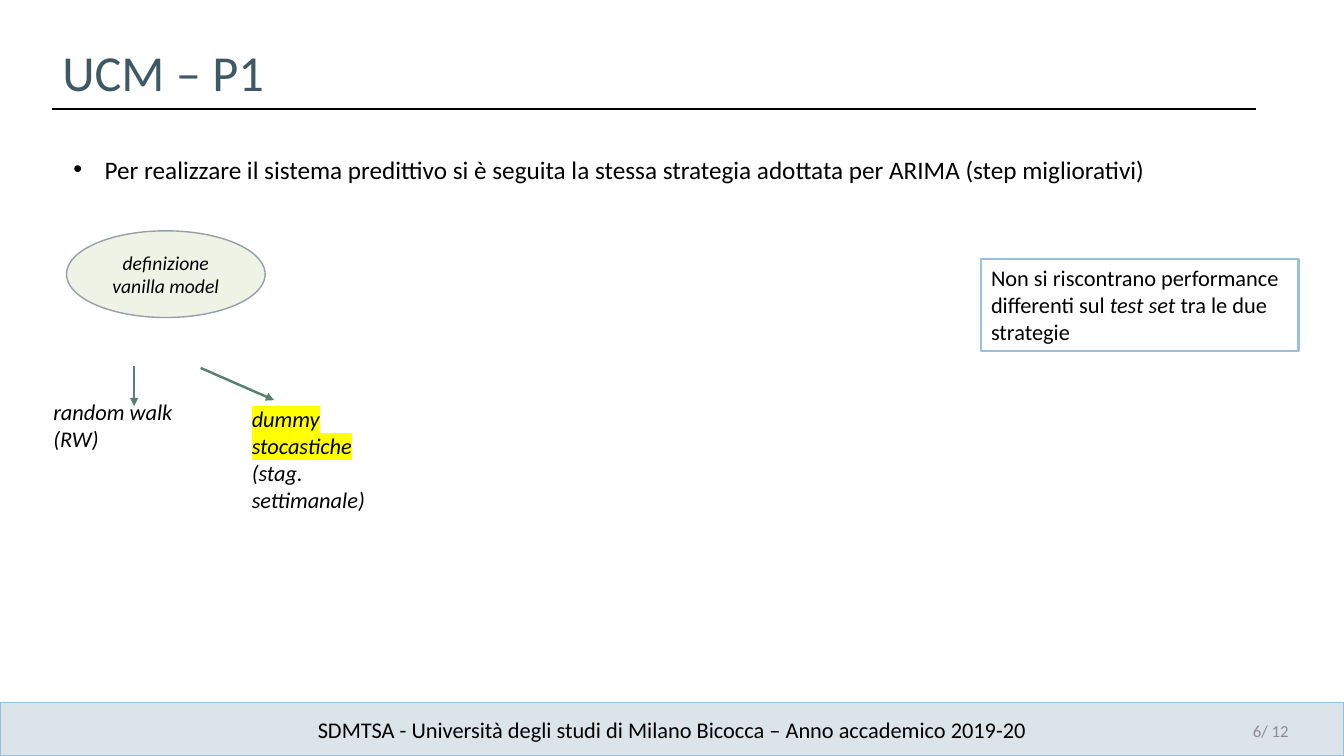
import pptx
import pptx.util
import pptx.dml.color
import pptx.enum.shapes
import pptx.enum.text
import pptx.oxml.ns
import lxml.etree

FORM = pptx.enum.shapes.MSO_SHAPE
ALIGN = pptx.enum.text.PP_ALIGN
ANCHOR = pptx.enum.text.MSO_ANCHOR
qn = pptx.oxml.ns.qn


class Board:
    font = "Calibri"
    hues = {
        "ink": "000000", "title": "3E5964", "gray": "8C8C8C",
        "band": "DBE4E8", "sky": "99C0DC", "white": "FFFFFF",
        "leaf": "EEF3E5", "rim": "969FA7", "arrow": "5A8071",
        "mark": "FFFF00",
    }

    def __init__(self, deck):
        self.wide, self.high = deck.slide_width, deck.slide_height
        self.slide = deck.slides.add_slide(deck.slide_layouts[6])

    def hue(self, name):
        return pptx.dml.color.RGBColor.from_string(self.hues[name])

    def place(self, *shares):
        sides = (self.wide, self.high) * 2
        return [round(side * share / 100) for side, share in zip(sides, shares)]

    def label(self, shape, paras, size, hue="ink", align=ALIGN.LEFT,
              anchor=ANCHOR.TOP, bullet=False):
        frame = shape.text_frame
        frame.word_wrap = True
        frame.vertical_anchor = anchor
        for index, runs in enumerate(paras):
            para = frame.add_paragraph() if index else frame.paragraphs[0]
            para.alignment = align
            if bullet:
                self.dot(para)
            for text, style in runs:
                run = para.add_run()
                run.text = text
                run.font.size = pptx.util.Pt(size)
                run.font.italic = "i" in style
                run.font.color.rgb = self.hue(hue)
                run.font.name = self.font
                if "h" in style:
                    self.mark(run)

    def dot(self, para):
        props = para._p.get_or_add_pPr()
        indent = pptx.util.Inches(0.31)
        props.set("marL", str(indent))
        props.set("indent", str(-indent))
        lxml.etree.SubElement(props, qn("a:buFont"), typeface="Arial")
        lxml.etree.SubElement(props, qn("a:buChar"), char="•")

    def mark(self, run):
        glow = lxml.etree.Element(qn("a:highlight"))
        lxml.etree.SubElement(glow, qn("a:srgbClr"), val=self.hues["mark"])
        run._r.rPr.find(qn("a:latin")).addprevious(glow)

    def text(self, area, paras, size, **look):
        box = self.slide.shapes.add_textbox(*self.place(*area))
        self.label(box, paras, size, **look)

    def shape(self, form, area, fill, edge, weight=1):
        shape = self.slide.shapes.add_shape(form, *self.place(*area))
        shape.shadow.inherit = False
        shape.fill.solid()
        shape.fill.fore_color.rgb = self.hue(fill)
        shape.line.color.rgb = self.hue(edge)
        shape.line.width = pptx.util.Pt(weight)
        return shape

    def line(self, ends, hue, weight=1, arrow=False):
        kind = pptx.enum.shapes.MSO_CONNECTOR.STRAIGHT
        line = self.slide.shapes.add_connector(kind, *self.place(*ends))
        line.line.color.rgb = self.hue(hue)
        line.line.width = pptx.util.Pt(weight)
        props = line._element.spPr
        lxml.etree.SubElement(props, qn("a:effectLst"))
        if arrow:
            lxml.etree.SubElement(props.find(qn("a:ln")), qn("a:tailEnd"), type="triangle")


def main():
    deck = pptx.Presentation()
    deck.slide_width = pptx.util.Inches(13.33)
    deck.slide_height = pptx.util.Inches(7.5)
    board = Board(deck)

    board.shape(FORM.RECTANGLE, (0, 92.93, 100, 7.07), "band", "sky")
    board.text((0, 94.13, 100, 4.93),
               [[("SDMTSA - Università degli studi di Milano Bicocca – Anno accademico 2019-20", "")]],
               16, align=ALIGN.CENTER)
    board.text((74.12, 94, 22.5, 5.33), [[("6/ 12", "")]], 12,
               hue="gray", align=ALIGN.RIGHT, anchor=ANCHOR.MIDDLE)

    board.text((3.9, 4.8, 19.8, 9.47), [[("UCM – P1", "")]], 36, hue="title")
    board.line((3.9, 14.4, 93.47, 14.4), "ink")
    board.text((4.73, 19.73, 82.37, 5.33),
               [[("Per realizzare il sistema predittivo si è seguita la stessa strategia "
                  "adottata per ARIMA (step migliorativi)", "")]],
               18, bullet=True)

    model = board.shape(FORM.OVAL, (4.95, 30.53, 14.78, 11.47), "leaf", "rim")
    board.label(model, [[("definizione vanilla model", "i")]], 14,
                align=ALIGN.CENTER, anchor=ANCHOR.MIDDLE)

    note = board.shape(FORM.RECTANGLE, (73, 34.27, 23.63, 12.13), "white", "sky", 1.75)
    board.label(note, [[("Non si riscontrano performance differenti sul ", ""),
                        ("test set ", "i"), ("tra le due strategie", "")]], 16)

    board.text((18, 52.93, 13.65, 8.53),
               [[("dummy stocastiche", "ih")], [("(stag. settimanale)", "i")]], 16)
    for ends in ((9.98, 48.4, 9.98, 53.73), (14.93, 48.67, 20.4, 52.93)):
        board.line(ends, "arrow", 1.75, arrow=True)
    board.text((3.23, 52, 13.88, 4.93), [[("random walk (RW)", "i")]], 16)

    deck.save("out.pptx")


if __name__ == "__main__":
    main()
